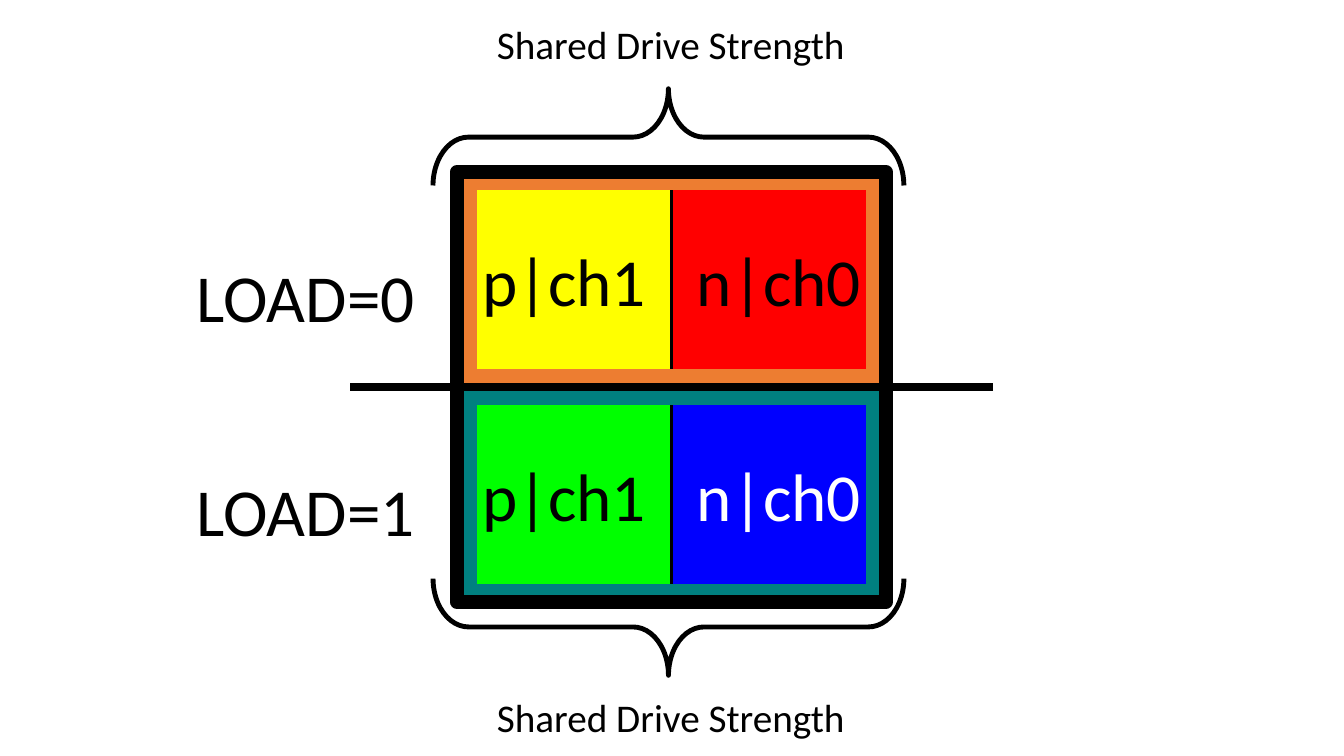
from pptx import Presentation
from pptx.dml.color import RGBColor as RGB
from pptx.enum.shapes import MSO_CONNECTOR as LINK, MSO_SHAPE as SHAPE
from pptx.enum.text import MSO_ANCHOR as ANCHOR, PP_ALIGN as ALIGN
from pptx.oxml.ns import qn
from pptx.util import Inches, Pt

BLACK, WHITE = RGB(0, 0, 0), RGB(255, 255, 255)
YELLOW, RED = RGB(255, 255, 0), RGB(255, 0, 0)
GREEN, BLUE = RGB(0, 255, 0), RGB(0, 0, 255)
ORANGE, TEAL = RGB(0xED, 0x7D, 0x31), RGB(0, 0x80, 0x80)

# Content: one row per load, each with (text, fill, text colour) tiles
ROWS = [
    ("LOAD=0", ORANGE, [("p|ch1", YELLOW, BLACK), ("n|ch0", RED, BLACK)]),
    ("LOAD=1", TEAL, [("p|ch1", GREEN, BLACK), ("n|ch0", BLUE, WHITE)]),
]
SHARED = "Shared Drive Strength"
# Brace centre, its turn, and top of its caption
BRACES = [(1.36, 270, 0.15), (6.22, 90, 6.83)]

# Layout in inches
LEFT, TOP, CELL = 4.53, 1.71, 2.13
MID = TOP + CELL
INSET_X, INSET_Y = 0.1, 0.08
DEPTH, SPAN, BRACE_X = 0.96, 4.67, 6.63

deck = Presentation()
deck.slide_width, deck.slide_height = Inches(13.33), Inches(7.5)
slide = deck.slides.add_slide(deck.slide_layouts[6])
shapes = slide.shapes


def write(shape, text, size, color, align):
    frame = shape.text_frame
    frame.word_wrap = True
    para = frame.paragraphs[0]
    para.alignment = align
    run = para.add_run()
    run.text = text
    look = {"name": "Calibri", "size": Pt(size)}
    for key, value in look.items():
        setattr(run.font, key, value)
    run.font.color.rgb = color


def label(text, size, *box):
    write(shapes.add_textbox(*map(Inches, box)), text, size, BLACK, ALIGN.LEFT)


def draw(kind, box, line, width, fill=None):
    shape = shapes.add_shape(kind, *map(Inches, box))
    shape.shadow.inherit = False
    if fill is None:
        shape.fill.background()
    else:
        shape.fill.solid()
        shape.fill.fore_color.rgb = fill
    shape.line.color.rgb = line
    shape.line.width = Pt(width)
    return shape


# Tiles and load labels
for row, (load, _, tiles) in enumerate(ROWS):
    y = TOP + row * CELL
    for col, (text, fill, color) in enumerate(tiles):
        box = (LEFT + col * CELL, y, CELL, CELL)
        tile = draw(SHAPE.RECTANGLE, box, BLACK, 2, fill)
        tile.text_frame.vertical_anchor = ANCHOR.MIDDLE
        write(tile, text, 48, color, ALIGN.CENTER)
    label(load, 48, 1.85, y + 0.77, 2.45, 0.83)

# Coloured row borders, then the outer frame
for row, (_, border, _) in enumerate(ROWS):
    box = (LEFT + INSET_X, TOP + row * CELL + INSET_Y,
           2 * (CELL - INSET_X), CELL - 2 * INSET_Y)
    draw(SHAPE.RECTANGLE, box, border, 14)
draw(SHAPE.RECTANGLE, (LEFT, TOP, 2 * CELL, 2 * CELL), BLACK, 10)

# Dividing line
rule = shapes.add_connector(
    LINK.STRAIGHT, *map(Inches, (9.85, MID, 3.47, MID)))
rule.line.color.rgb = BLACK
rule.line.width = Pt(5.5)
props = rule._element.spPr
props.append(props.makeelement(qn("a:effectLst"), {}))

# Braces and captions
for y, turn, top in BRACES:
    box = (BRACE_X - DEPTH / 2, y - SPAN / 2, DEPTH, SPAN)
    brace = draw(SHAPE.RIGHT_BRACE, box, BLACK, 3.5)
    brace.rotation = turn
    brace.adjustments[0] = 0.367
    brace.adjustments[1] = 0.5
    label(SHARED, 28, 4.83, top, 4.39, 0.52)

deck.save("out.pptx")
